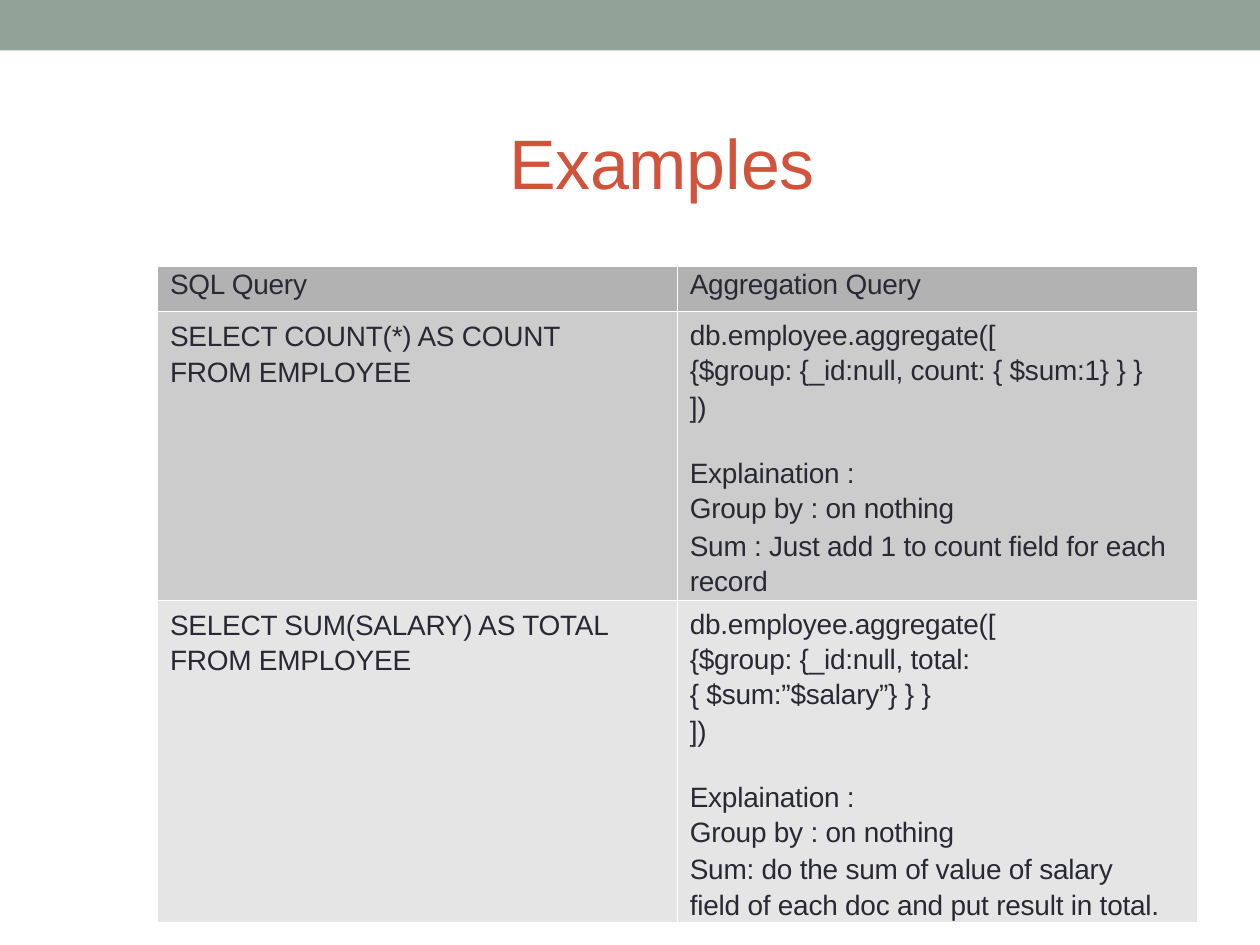
from lxml import etree
from pptx import Presentation
from pptx.dml.color import RGBColor
from pptx.enum.shapes import MSO_SHAPE
from pptx.enum.text import MSO_ANCHOR, PP_ALIGN
from pptx.oxml.ns import qn
from pptx.util import Inches, Pt

RECT = MSO_SHAPE.RECTANGLE
TOP, MIDDLE = MSO_ANCHOR.TOP, MSO_ANCHOR.MIDDLE
LEFT = PP_ALIGN.LEFT

COLORS = {"band": "93A299", "title": "D2533C", "text": "292934", "border": "FFFFFF"}
FILLS = ["B2B2B2", "CCCCCC", "E5E5E5"]
FONT = "Arial"

# Content: each cell is a list of (text, line spacing, space before) in points;
# \v is a line break
TITLE = "Examples"
GAP = 17  # space above the explanation
ROWS = [
    [[("SQL Query", None, 2)], [("Aggregation Query", None, 2)]],
    [
        [("SELECT COUNT(*) AS COUNT\vFROM EMPLOYEE", 20.2, 3.8)],
        [
            ("db.employee.aggregate([", 20.9, 2),
            ("{$group: {_id:null, count: { $sum:1} } }", 20.1, 0),
            ("])", 20.9, 0),
            ("Explaination :", 20.9, GAP),
            ("Group by : on nothing", 20.1, 0),
            ("Sum : Just add 1 to count field for each\vrecord", 20.2, 1.1),
        ],
    ],
    [
        [("SELECT SUM(SALARY) AS TOTAL\vFROM EMPLOYEE", 20.1, 3.9)],
        [
            ("db.employee.aggregate([", 20.9, 2),
            ("{$group: {_id:null, total:", 20.1, 0),
            ("{ $sum:”$salary”} } }", 20.2, 0),
            ("])", 20.9, 0),
            ("Explaination :", 20.9, GAP),
            ("Group by : on nothing", 20.1, 0),
            ("Sum: do the sum of value of salary\vfield of each doc and put result in total.", 20.1, 1.2),
        ],
    ],
]
ROW_HEIGHTS = [0.36, 2.29, 2.56]
TABLE_AT = (1.25, 2.11, 8.25, sum(ROW_HEIGHTS))


def write(p, text, size, color, line=None, before=0):
    p.text = text
    p.alignment = LEFT
    p.space_before = Pt(before)
    if line:
        p.line_spacing = Pt(line)
    for r in p.runs:
        r.font.name = FONT
        r.font.size = Pt(size)
        r.font.color.rgb = RGBColor.from_string(color)
        r.font._element.set("spc", "-10")


def set_borders(cell, color, width):
    tc_pr = cell._tc.get_or_add_tcPr()
    for i, side in enumerate(("lnL", "lnR", "lnT", "lnB")):
        ln = etree.Element(qn(f"a:{side}"), w=str(Pt(width)))
        fill = etree.SubElement(ln, qn("a:solidFill"))
        etree.SubElement(fill, qn("a:srgbClr"), val=color)
        tc_pr.insert(i, ln)


prs = Presentation()
prs.slide_width, prs.slide_height = Inches(10), Inches(7.5)
s = prs.slides.add_slide(prs.slide_layouts[5])

# Top band
band = s.shapes.add_shape(RECT, 0, 0, prs.slide_width, Inches(0.4))
band.shadow.inherit = False
band.fill.solid()
band.fill.fore_color.rgb = RGBColor.from_string(COLORS["band"])
band.line.fill.background()

# Title
title = s.shapes.title
title.left, title.top, title.width, title.height = map(Inches, (4.04, 0.94, 2.45, 0.69))
tf = title.text_frame
tf.margin_left = tf.margin_right = tf.margin_top = tf.margin_bottom = 0
tf.vertical_anchor = MIDDLE
tf.word_wrap = True
write(tf.paragraphs[0], TITLE, 40, COLORS["title"])

# Query table
table = s.shapes.add_table(len(ROWS), len(ROWS[0]), *map(Inches, TABLE_AT)).table
for i, (row, height, fill) in enumerate(zip(ROWS, ROW_HEIGHTS, FILLS)):
    table.rows[i].height = Inches(height)
    for j, lines in enumerate(row):
        cell = table.cell(i, j)
        cell.margin_left = Inches(0.1)
        cell.margin_right = cell.margin_bottom = 0
        cell.margin_top = Inches(0.05 if i and j == 0 else 0.03)
        cell.vertical_anchor = TOP
        cell.fill.solid()
        cell.fill.fore_color.rgb = RGBColor.from_string(fill)
        set_borders(cell, COLORS["border"], 0.25)
        tf = cell.text_frame
        for n, (text, line, before) in enumerate(lines):
            p = tf.add_paragraph() if n else tf.paragraphs[0]
            write(p, text, 16, COLORS["text"], line=line, before=before)

prs.save("out.pptx")
